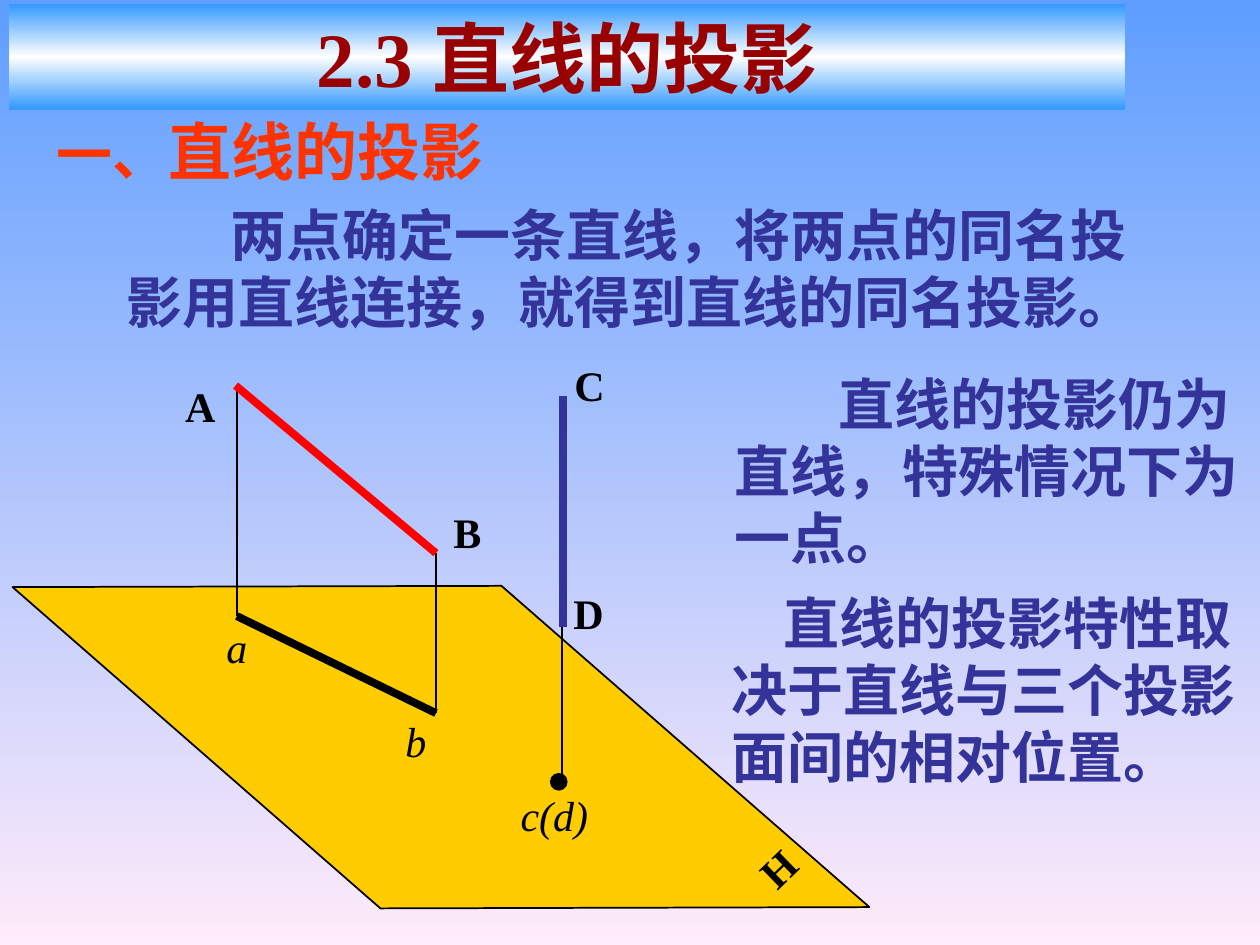
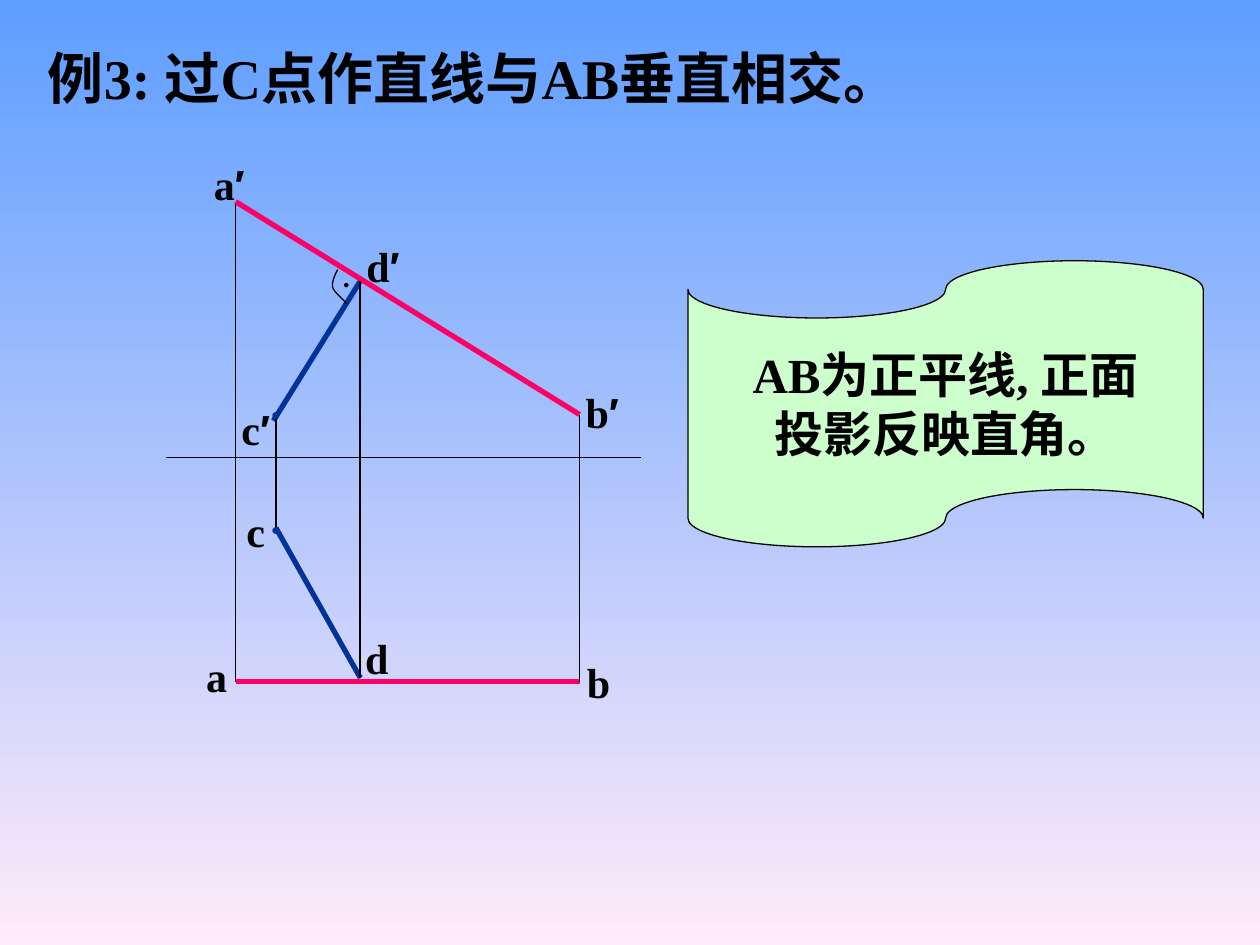
import copy
import dataclasses

import pptx
import pptx.dml.color
import pptx.enum.shapes
import pptx.enum.text
import pptx.oxml.ns
import pptx.util
from lxml import etree

ALIGN = pptx.enum.text.PP_ALIGN
ANCHOR = pptx.enum.text.MSO_ANCHOR
SHAPE = pptx.enum.shapes.MSO_SHAPE
LINK = pptx.enum.shapes.MSO_CONNECTOR
qn = pptx.oxml.ns.qn

COLS, ROWS = 100, 75
CELL = pptx.util.Inches(0.1)


@dataclasses.dataclass(frozen=True)
class Theme:
    sky: tuple = ("5E9EFF", "FFEBFA")
    band: tuple = ("3399FF", "FFFFFF", "3399FF")
    ink: str = "000000"
    title: str = "990000"
    head: str = "FF3300"
    text: str = "333399"
    plane: str = "FFCC00"
    red: str = "FF0000"
    pink: str = "FF0066"
    blue: str = "003399"
    note: str = "CCFFCC"
    latin: str = "Times New Roman"
    han: str = "Noto Sans CJK SC"
    prime: str = "Arial"
    huge: int = 44
    big: int = 36
    body: int = 32
    mid: int = 28
    tag: int = 24
    tick: int = 16
    dot: int = 9
    lead: float = 1.2


T = Theme()


@dataclasses.dataclass
class Box:
    """A region of a slide, measured in grid cells."""
    slide: object
    x: float
    y: float
    w: float
    h: float

    def spot(self, x, y):
        return round((self.x + x) * CELL), round((self.y + y) * CELL)

    def fit(self, shape):
        shape.left, shape.top = self.spot(0, 0)
        shape.width, shape.height = round(self.w * CELL), round(self.h * CELL)
        return shape

    def area(self):
        return *self.spot(0, 0), round(self.w * CELL), round(self.h * CELL)


def rgb(hue):
    return pptx.dml.color.RGBColor.from_string(hue)


def blend(fill, root, hues):
    """Fill from top to bottom with evenly spaced hues."""
    fill.gradient()
    fill.gradient_angle = 270
    stops = next(root.iter(qn("a:gsLst")))
    while len(stops) < len(hues):
        stops.append(copy.deepcopy(stops[0]))
    for i, (stop, hue) in enumerate(zip(fill.gradient_stops, hues)):
        stop.color.rgb = rgb(hue)
        stop.position = i / (len(hues) - 1)


def paint(shape, fill=None, width=1):
    shape.shadow.inherit = False
    if fill:
        shape.fill.solid()
        shape.fill.fore_color.rgb = rgb(fill)
    else:
        shape.fill.background()
    shape.line.color.rgb = rgb(T.ink)
    shape.line.width = pptx.util.Pt(width)


def add_run(para, text, size, hue=T.ink, font=T.latin, bold=True, slant=False):
    run = para.add_run()
    run.text = text
    run.font.size = pptx.util.Pt(size)
    run.font.color.rgb = rgb(hue)
    run.font.bold, run.font.italic = bold, slant
    run.font.name = font
    east = etree.SubElement(run._r.get_or_add_rPr(), qn("a:ea"))
    east.set("typeface", T.han if font == T.latin else font)


def set_para(para, align, size, first=0):
    """Fix the line pitch and first-line indent (in cells), without a bullet."""
    para.alignment = align
    para.line_spacing = pptx.util.Pt(size * T.lead)
    para.space_before = pptx.util.Pt(0)
    props = para._p.get_or_add_pPr()
    props.set("marL", "0")
    props.set("indent", str(round(first * CELL)))
    etree.SubElement(props, qn("a:buNone"))


def set_frame(shape, anchor=ANCHOR.MIDDLE, wrap=True):
    frame = shape.text_frame
    frame.auto_size = pptx.enum.text.MSO_AUTO_SIZE.NONE
    frame.word_wrap, frame.vertical_anchor = wrap, anchor
    return frame


def write(shape, runs, align=ALIGN.LEFT, first=0, anchor=ANCHOR.MIDDLE):
    """Fill a shape with one paragraph; a run is text, size, hue."""
    para = set_frame(shape, anchor).paragraphs[0]
    set_para(para, align, max(size for _, size, _ in runs), first)
    for run in runs:
        add_run(para, *run)


def prose(box, text, first):
    shape = box.slide.shapes.add_textbox(*box.area())
    write(shape, [(text, T.body, T.text)], first=first, anchor=ANCHOR.TOP)


def tag(box, text, x, y, size=T.tag, hue=T.ink, slant=False, turn=0):
    """Centre a label on a point; a prime mark gets its own font."""
    area = Box(box.slide, box.x + x - 4, box.y + y - 2.5, 8, 5)
    shape = box.slide.shapes.add_textbox(*area.area())
    shape.rotation = turn
    para = set_frame(shape).paragraphs[0]
    para.alignment = ALIGN.CENTER
    add_run(para, text.rstrip("′"), size, hue, bold=not slant, slant=slant)
    if text.endswith("′"):
        add_run(para, "′", size, hue, T.prime)


def stroke(box, start, end, hue=T.ink, width=1):
    line = box.slide.shapes.add_connector(
        LINK.STRAIGHT, *box.spot(*start), *box.spot(*end))
    line.line.color.rgb = rgb(hue)
    line.line.width = pptx.util.Pt(width)
    etree.SubElement(line._element.spPr, qn("a:effectLst"))


def trace(box, points, close):
    spots = [box.spot(*point) for point in points]
    pen = box.slide.shapes.build_freeform(*spots[0])
    pen.add_line_segments(spots[1:], close=close)
    return pen.convert_to_shape()


def bezier(p, q, r, s, steps=8):
    def at(t, axis):
        u = 1 - t
        return (u**3 * p[axis] + 3 * u * u * t * q[axis]
                + 3 * u * t * t * r[axis] + t**3 * s[axis])
    return [(at(i / steps, 0), at(i / steps, 1)) for i in range(steps + 1)]


def draw_plane(box):
    """Lines AB and CD above plane H, with their projections."""
    paint(trace(box, [(1, 18.6), (39.8, 18.5), (69, 44), (30.2, 44.1)], True),
          T.plane)
    top, low = (18.7, 2.6), (34.6, 15.9)
    foot, base = (18.8, 20.9), (34.6, 28.6)
    stroke(box, (18.8, 2.6), foot, width=1.5)
    stroke(box, base, low, width=1.5)
    stroke(box, (44.6, 21.8), (44.6, 34.3), width=1.5)
    dot = Box(box.slide, box.x + 43.7, box.y + 33.4, 1.3, 1.3)
    paint(box.slide.shapes.add_shape(SHAPE.OVAL, *dot.area()), T.ink, 0.75)
    stroke(box, foot, base, width=4.5)
    stroke(box, top, low, T.red, 4.5)
    stroke(box, (44.7, 3.4), (44.7, 21.8), T.text, 4.5)
    for text, x, y in [("A", 15.9, 4.2), ("B", 37.1, 14.2),
                       ("C", 46.8, 2.5), ("D", 46.7, 20.6)]:
        tag(box, text, x, y)
    for text, x, y in [("a", 18.8, 23.3), ("b", 33, 30.8), ("c(d)", 44, 36.7)]:
        tag(box, text, x, y, slant=True)
    tag(box, "H", 61.7, 40.9, turn=315.9)


def draw_views(box):
    """Front and top views of AB with the perpendicular CD."""
    a_up, b_up, c_up, d_up = (5.7, 4), (33, 20.9), (8.7, 21.4), (15.6, 10.3)
    a, b, c, d = (5.7, 42.1), (33, 42.1), (8.9, 29.9), (15.6, 41.8)
    stroke(box, c, d, T.blue, 3)
    stroke(box, c_up, d_up, T.blue, 3)
    stroke(box, (0.2, 24.3), (37.9, 24.3))
    stroke(box, a, b, T.pink, 3)
    stroke(box, b, b_up)
    stroke(box, a, a_up)
    stroke(box, a_up, b_up, T.pink, 3)
    stroke(box, (8.9, 20.7), (8.9, 30.1))
    stroke(box, d_up, d)
    for text, x, y in [("a′", 5.2, 2.6), ("b′", 34.8, 20.7), ("c′", 7.3, 22),
                       ("d′", 17.4, 9.1), ("a", 4.2, 41.6), ("b", 34.5, 42.1),
                       ("c", 7.3, 30.1), ("d", 16.9, 40.2)]:
        tag(box, text, x, y)
    for y in (20.9, 30):
        tag(box, "●", 8.9, y, T.dot, T.blue)
    mid = (13.4, 10.8)
    arc = (bezier((13.8, 9.4), (13.7, 9.6), (13.3, 10.3), mid)
           + bezier(mid, (13.5, 11.2), (14.3, 11.8), (14.5, 12.1))[1:])
    paint(trace(box, arc, False), width=0.75)
    tag(box, ".", 14.5, 9.9, T.tick)


def draw_note(box, lines):
    shape = box.slide.shapes.add_shape(SHAPE.WAVE, *box.area())
    shape._element.spPr.prstGeom.set("prst", "flowChartPunchedTape")
    etree.strip_elements(shape._element.spPr.prstGeom, qn("a:gd"))
    paint(shape, T.note, 0.75)
    frame = set_frame(shape, wrap=False)
    for i, line in enumerate(lines):
        para = frame.add_paragraph() if i else frame.paragraphs[0]
        set_para(para, ALIGN.CENTER, T.mid)
        add_run(para, line, T.mid)


def lines_slide(deck):
    slide = deck.slides.add_slide(deck.slide_layouts[1])
    title, body = slide.placeholders
    Box(slide, 0.7, 0.3, 88.6, 8.4).fit(title)
    blend(title.fill, title._element, T.band)
    write(title, [("2.3 直线的投影", T.huge, T.title)], ALIGN.CENTER)
    draw_plane(Box(slide, 0, 28, 70, 45))
    head = Box(slide, 3.5, 8.4, 43.9, 7)
    write(slide.shapes.add_textbox(*head.area()),
          [("一、", T.body, T.head), ("直线的投影", T.big, T.head)])
    Box(slide, 9, 15.4, 82.7, 11.7).fit(body)
    write(body, [("两点确定一条直线，将两点的同名投影用直线连接，"
                  "就得到直线的同名投影。", T.body, T.text)], first=8.3)
    prose(Box(slide, 57.3, 28.8, 42.7, 17),
          "直线的投影仍为直线，特殊情况下为一点。", 8.3)
    prose(Box(slide, 57.1, 46.2, 44.1, 17),
          "直线的投影特性取决于直线与三个投影面间的相对位置。", 4.1)


def example_slide(deck):
    slide = deck.slides.add_slide(deck.slide_layouts[5])
    title = Box(slide, 2.8, 2.9, 80, 6.4).fit(slide.shapes.title)
    write(title, [("例3: 过C点作直线与AB垂直相交。", T.body, T.ink)])
    draw_views(Box(slide, 13, 12, 40, 44))
    draw_note(Box(slide, 54.6, 20.7, 40.9, 22.7),
              ["AB为正平线, 正面", "投影反映直角。"])


def main():
    deck = pptx.Presentation()
    deck.slide_width, deck.slide_height = COLS * CELL, ROWS * CELL
    master = deck.slide_master
    blend(master.background.fill, master.element.cSld, T.sky)
    lines_slide(deck)
    example_slide(deck)
    deck.save("out.pptx")


if __name__ == "__main__":
    main()
